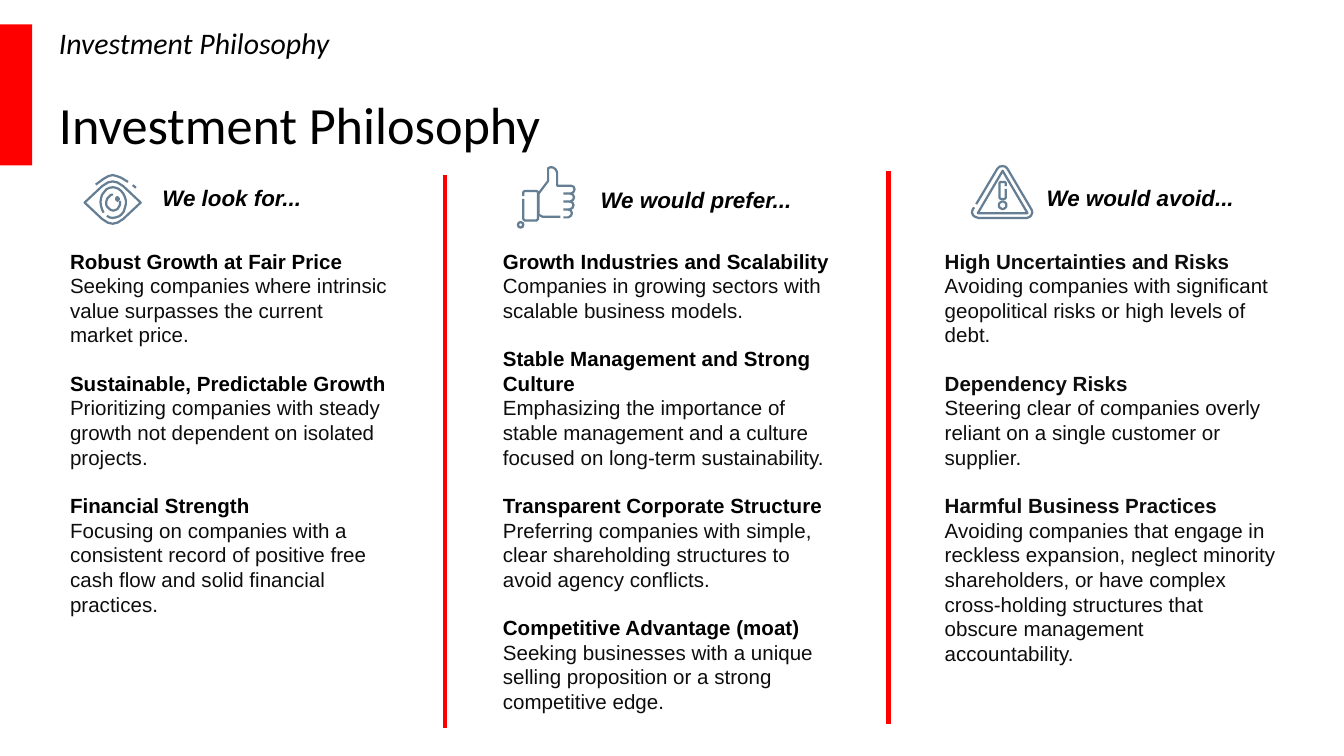
from math import cos, sin, radians

from lxml.etree import SubElement
from pptx import Presentation
from pptx.dml.color import RGBColor as Rgb
from pptx.enum.shapes import MSO_CONNECTOR as Link, MSO_SHAPE as Shape
from pptx.enum.text import MSO_ANCHOR as Anchor, MSO_AUTO_SIZE as Fit, PP_ALIGN as Align
from pptx.oxml.ns import qn
from pptx.util import Cm, Pt

HUES = {"red": "FF0000", "black": "000000", "ink": "0D0D0D", "icon": "657E93"}
TITLE = "Investment Philosophy"
UNIT = Cm(0.01)


def hue(name):
    return Rgb.from_string(HUES[name])


def style(part, size, face, color, bold=False, slant=False):
    for run in part.runs:
        font = run.font
        font.size, font.name = Pt(size), face
        font.bold, font.italic = bold, slant
        font.color.rgb = hue(color)


def place(shape, left, top, width, height):
    shape.left, shape.top = Cm(left), Cm(top)
    shape.width, shape.height = Cm(width), Cm(height)


def arc(x, y, wide, high, start=0, end=360):
    turns = [radians(start + (end - start) * i / 24) for i in range(25)]
    return [(x + wide * cos(t), y + high * sin(t)) for t in turns]


def finger(end, top):
    return [(end - 7, top), (end - 2, top + 2), (end, top + 7),
            (end - 2, top + 12), (end - 7, top + 15), (87, top + 15)]


EYE = [
    [(24, 19), (39, 8), (48, 3), (56, 1), (64, 3), (72, 6), (85, 14)],
    [(94, 20), (100, 25)],
    [(3, 53), (19, 38), (36, 22), (47, 15), (56, 13), (65, 15), (76, 22),
     (93, 38), (109, 53), (93, 68), (76, 84), (65, 91), (56, 93), (47, 91),
     (36, 84), (19, 68), (3, 53)],
    arc(57, 53, 24, 29, 139, 480),
    arc(57, 53, 13, 15, -10, 270),
    arc(65, 46, 2, 3),
]
THUMB = [
    [(11, 56), (11, 48), (14, 46), (36, 46), (39, 48), (39, 99), (36, 102),
     (14, 102), (11, 99), (11, 61)],
    [(81, 95), (48, 95), (40, 91), (40, 51), (58, 27), (58, 3), (63, 1),
     (68, 2), (72, 5), (75, 11), (75, 36), (101, 36)],
    *[finger(end, 36 + 15 * i) for i, end in enumerate((108, 107, 106, 103))],
    arc(6, 110, 5, 5),
]
ALERT = [
    [(11, 74), (51, 7), (55, 3), (61, 2), (66, 3), (70, 7), (116, 85),
     (117, 90), (115, 95), (112, 98), (107, 100), (15, 100), (9, 98),
     (5, 95), (3, 90), (4, 85), (7, 80)],
    [(61, 11), (108, 91), (14, 91), (61, 11)],
    [(67, 40), (67, 34), (65, 32), (57, 32), (55, 34), (55, 62), (57, 64),
     (65, 64), (67, 62), (67, 45)],
    arc(61, 76, 7, 7),
]

COLUMNS = [
    ((1.07, 3.3, 6.55, 8.6), EYE, 0.5, "We look for...", 1.75, 0.05, [
        ("Robust Growth at Fair Price",
         "Seeking companies where intrinsic value surpasses the current market price."),
        ("Sustainable, Predictable Growth",
         "Prioritizing companies with steady growth not dependent on isolated projects."),
        ("Financial Strength",
         "Focusing on companies with a consistent record of positive free cash flow "
         "and solid financial practices."),
    ]),
    ((9.25, 3.15, 6.78, 10.62), THUMB, 0.53, "We would prefer...", 1.85, 0.25, [
        ("Growth Industries and Scalability",
         "Companies in growing sectors with scalable business models."),
        ("Stable Management and Strong Culture",
         "Emphasizing the importance of stable management and a culture focused on "
         "long-term sustainability."),
        ("Transparent Corporate Structure",
         "Preferring companies with simple, clear shareholding structures to avoid "
         "agency conflicts."),
        ("Competitive Advantage (moat)",
         "Seeking businesses with a unique selling proposition or a strong competitive edge."),
    ]),
    ((17.6, 3.12, 6.78, 9.7), ALERT, 0.74, "We would avoid...", 1.93, 0.23, [
        ("High Uncertainties and Risks",
         "Avoiding companies with significant geopolitical risks or high levels of debt."),
        ("Dependency Risks",
         "Steering clear of companies overly reliant on a single customer or supplier."),
        ("Harmful Business Practices",
         "Avoiding companies that engage in reckless expansion, neglect minority "
         "shareholders, or have complex cross-holding structures that obscure "
         "management accountability."),
    ]),
]


def header(slide, left, top, width, height):
    bar = slide.shapes.add_shape(Shape.RECTANGLE, Cm(left), Cm(top + 0.46), Cm(0.61), Cm(2.67))
    bar.shadow.inherit = False
    bar.fill.solid()
    bar.fill.fore_color.rgb = hue("red")
    bar.line.fill.background()
    title = slide.shapes.title
    place(title, left + 0.86, top, width, height)
    frame = title.text_frame
    frame.auto_size, frame.vertical_anchor = Fit.NONE, Anchor.TOP
    frame.text = f"{TITLE}\n{TITLE}"
    for part, size, slant in zip(frame.paragraphs, (16, 28), (True, False)):
        part.alignment, part.line_spacing = Align.LEFT, 1.5
        style(part, size, "Calibri", "black", slant=slant)


def draw(group, strokes, left, top):
    for (x, y), *rest in strokes:
        pen = group.shapes.build_freeform(x, y, scale=UNIT)
        pen.add_line_segments(rest, close=False)
        shape = pen.convert_to_shape(Cm(left), Cm(top))
        shape.shadow.inherit = False
        shape.fill.background()
        shape.line.color.rgb = hue("icon")
        shape.line.width = Pt(1.2)


def fill(holder, items, color):
    frame = holder.text_frame
    frame.word_wrap, frame.auto_size = True, Fit.NONE
    frame.vertical_anchor = Anchor.TOP
    frame.text = "\n".join(text for item in items for text in item)
    for i, part in enumerate(frame.paragraphs):
        head = i % 2 == 0
        props = part._p.get_or_add_pPr()
        props.set("marL", "0")
        props.set("indent", "0")
        SubElement(props, qn("a:buNone"))
        part.space_before = Pt(12.65 if head and i else 0)
        style(part, 11, "Arial", color if head else "ink", bold=head)


def column(slide, holder, box, icon, shift, label, indent, drop, items):
    left, top, width, height = box
    group = slide.shapes.add_group_shape()
    draw(group, icon, left + shift, top)
    note = group.shapes.add_textbox(Cm(left + indent), Cm(top + drop), Cm(4.5), Cm(0.77))
    note.text_frame.text = label
    style(note.text_frame.paragraphs[0], 12, "Arial", "black", bold=True, slant=True)
    place(holder, left, 4.57, width, height - 1.3)
    fill(holder, items, "ink" if icon is ALERT else "black")


def rule(slide, left, top, height):
    line = slide.shapes.add_connector(Link.STRAIGHT, Cm(left), Cm(top), Cm(left), Cm(top + height))
    line.line.color.rgb = hue("red")
    line.line.width = Pt(2.25)
    SubElement(line._element.spPr, qn("a:effectLst"))


def main():
    deck = Presentation()
    deck.slide_width, deck.slide_height = Cm(25.4), Cm(14.29)
    slide = deck.slides.add_slide(deck.slide_layouts[4])
    _, *holders, spare = slide.placeholders
    spare._element.getparent().remove(spare._element)
    header(slide, 0, 0, 14.38, 2.9)
    for holder, parts in zip(holders, COLUMNS):
        column(slide, holder, *parts)
    for left, top in ((8.41, 3.3), (16.79, 3.23)):
        rule(slide, left, top, 10.46)
    deck.save("out.pptx")


if __name__ == "__main__":
    main()
